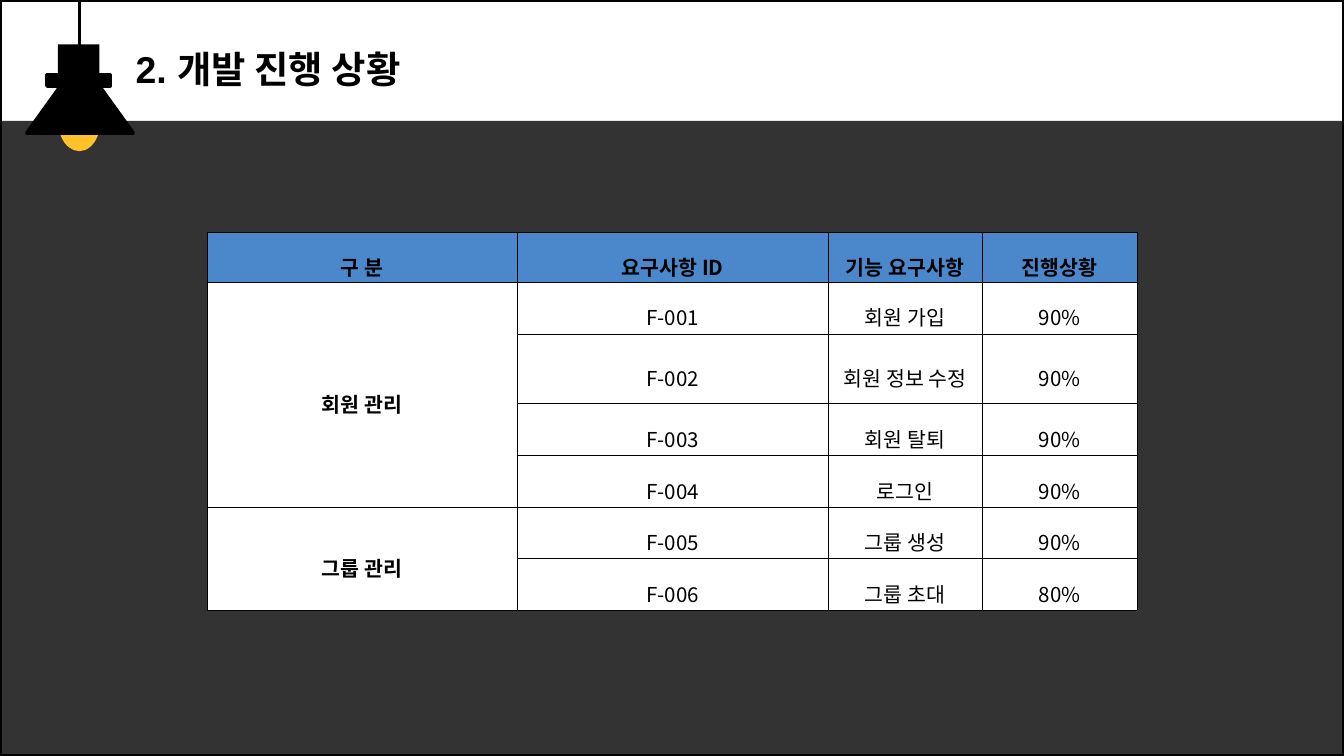
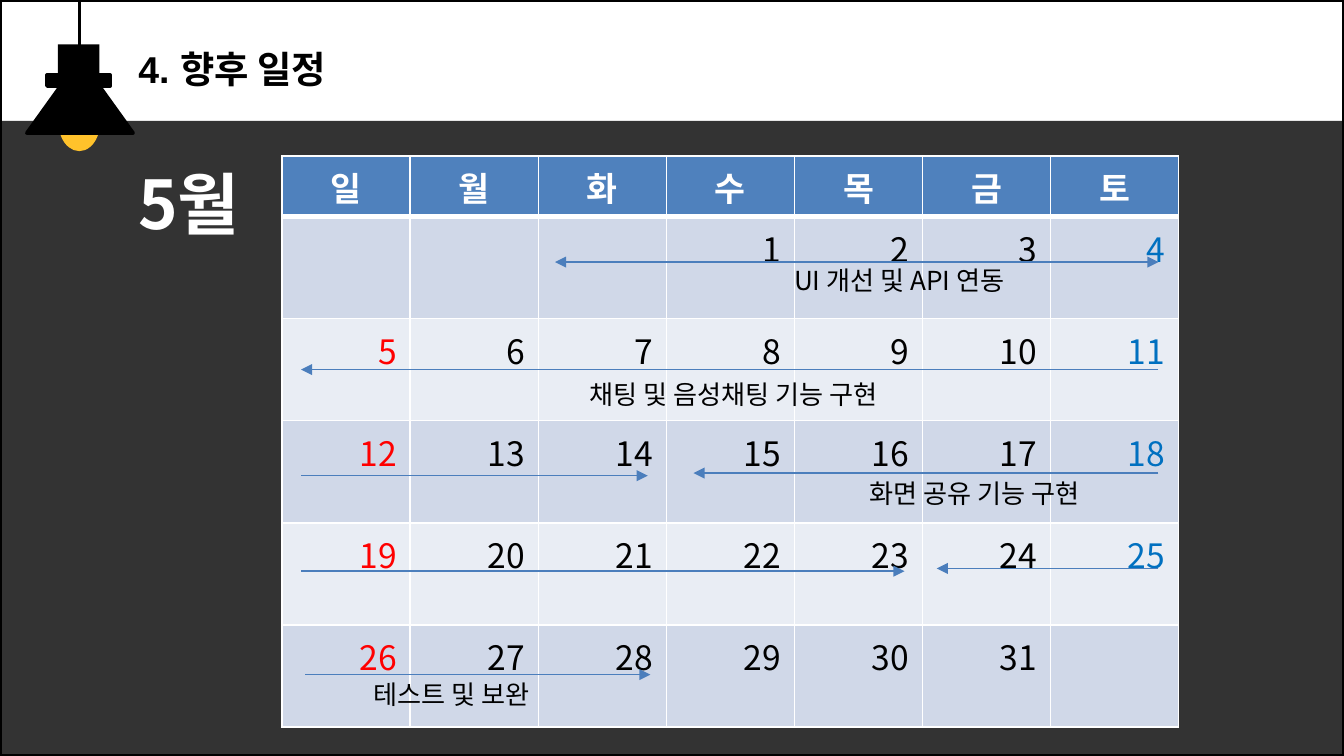
from lxml import etree
from pptx import Presentation
from pptx.dml.color import RGBColor
from pptx.enum.shapes import MSO_CONNECTOR, MSO_SHAPE as SHAPE
from pptx.enum.text import MSO_ANCHOR as ANCHOR, MSO_AUTO_SIZE as AUTO, PP_ALIGN as ALIGN
from pptx.oxml.ns import qn
from pptx.util import Inches, Pt

BLACK = RGBColor(0x00, 0x00, 0x00)
WHITE = RGBColor(0xFF, 0xFF, 0xFF)
BULB = RGBColor(0xFF, 0xC2, 0x2B)
STATUS_HEAD = RGBColor(0x4B, 0x87, 0xCB)
MONTH_HEAD = RGBColor(0x4F, 0x81, 0xBD)
WEEK_ODD = RGBColor(0xD0, 0xD8, 0xE8)
WEEK_EVEN = RGBColor(0xE9, 0xED, 0xF4)
SUNDAY = RGBColor(0xFF, 0x00, 0x00)
SATURDAY = RGBColor(0x00, 0x70, 0xC0)
ARROW = RGBColor(0x4B, 0x7E, 0xBC)
KOREAN = "Noto Sans CJK KR"
W = 10
H = W * 9 / 16


def write(tf, text, size=14, color=BLACK, bold=False, font=KOREAN,
          align=ALIGN.LEFT, spacing=None):
    p = tf.paragraphs[0]
    p.alignment = align
    p.line_spacing = spacing
    r = p.add_run()
    r.text = text
    r.font.size = Pt(size)
    r.font.bold = bold
    r.font.name = font
    r.font.color.rgb = color
    etree.SubElement(r.font._element, qn("a:ea"), typeface=KOREAN)


def add_line(shapes, x1, y1, x2, y2, color, width, ends=()):
    """Draw a straight line; ends may hold "headEnd" and "tailEnd", in that order."""
    line = shapes.add_connector(MSO_CONNECTOR.STRAIGHT, Inches(x1), Inches(y1),
                                Inches(x2), Inches(y2))
    line.line.color.rgb = color
    line.line.width = Pt(width)
    ln = line.line._get_or_add_ln()
    for end in ends:
        etree.SubElement(ln, qn(f"a:{end}"), type="triangle")
    etree.SubElement(line._element.spPr, qn("a:effectLst"))


prs = Presentation()
prs.slide_width, prs.slide_height = Inches(W), Inches(H)
layout = prs.slide_layouts[5]

# Titles and frames
slides = []
for title, x, w in (("2. 개발 진행 상황", 0.91, 2.42), ("4. 향후 일정", 0.93, 1.76)):
    s = prs.slides.add_slide(layout)
    slides.append(s)
    sp = s.shapes.title
    sp.left, sp.top, sp.width, sp.height = map(Inches, (x, 0.29, w, 0.44))
    tf = sp.text_frame
    tf.word_wrap = False
    tf.auto_size = AUTO.SHAPE_TO_FIT_TEXT
    tf.vertical_anchor = ANCHOR.TOP
    write(tf, title, size=20, bold=True, font="Arial")

    frame = s.shapes.add_shape(SHAPE.RECTANGLE, 0, 0, Inches(W), Inches(H))
    frame.shadow.inherit = False
    frame.fill.background()
    frame.line.color.rgb = BLACK
    frame.line.width = Pt(2)
status_slide, month_slide = slides

# Dark band and lamp, built once and moved to the shared layout
band = status_slide.shapes.add_shape(SHAPE.RECTANGLE, 0, Inches(0.9),
                                     Inches(W), Inches(H - 0.9))
band.shadow.inherit = False
band.fill.solid()
band.fill.fore_color.rgb = BLACK
band.line.fill.background()
etree.SubElement(band._element.spPr.find(".//" + qn("a:srgbClr")), qn("a:alpha"), val="80000")

lamp = status_slide.shapes.add_group_shape()
add_line(lamp.shapes, 0.59, 0.01, 0.59, 0.4, BLACK, 1.5)
for shape, x, y, w, h, color, outline in (
    (SHAPE.OVAL, 0.45, 0.72, 0.28, 0.39, BULB, True),
    (SHAPE.RECTANGLE, 0.43, 0.33, 0.31, 0.31, BLACK, False),
    (SHAPE.RECTANGLE, 0.35, 0.56, 0.47, 0.08, BLACK, True),
    (SHAPE.ISOSCELES_TRIANGLE, 0.2, 0.44, 0.79, 0.55, BLACK, True),
):
    sp = lamp.shapes.add_shape(shape, Inches(x), Inches(y), Inches(w), Inches(h))
    sp.shadow.inherit = False
    sp.fill.solid()
    sp.fill.fore_color.rgb = color
    if outline:
        sp.line.color.rgb = color
        sp.line.width = Pt(2)
    else:
        sp.line.fill.background()
for sp in (band, lamp):
    layout.shapes._spTree.append(sp._element)

# Progress table
status_rows = [
    ("구 분", "요구사항 ID", "기능 요구사항", "진행상황"),
    ("회원 관리", "F-001", "회원 가입", "90%"),
    ("", "F-002", "회원 정보 수정", "90%"),
    ("", "F-003", "회원 탈퇴", "90%"),
    ("", "F-004", "로그인", "90%"),
    ("그룹 관리", "F-005", "그룹 생성", "90%"),
    ("", "F-006", "그룹 초대", "80%"),
]
status = status_slide.shapes.add_table(7, 4, Inches(1.54), Inches(1.73),
                                       Inches(6.92), Inches(2.81)).table
for col, w in zip(status.columns, (2.31, 2.31, 1.15, 1.15)):
    col.width = Inches(w)
head_h, tall_h = 0.37, 0.52
row_h = (2.81 - head_h - tall_h) / 5
for row, h in zip(status.rows, [head_h, row_h, tall_h] + [row_h] * 4):
    row.height = Inches(h)
for i, texts in enumerate(status_rows):
    for j, text in enumerate(texts):
        cell = status.cell(i, j)
        cell.fill.solid()
        cell.fill.fore_color.rgb = WHITE if i else STATUS_HEAD
        cell.vertical_anchor = ANCHOR.MIDDLE
        cell.margin_left = cell.margin_right = Inches(0.02)
        cell.margin_top = cell.margin_bottom = Inches(0.01)
        if text:
            write(cell.text_frame, text, size=11, bold=i == 0 or j == 0,
                  align=ALIGN.CENTER, spacing=1.6)
for first, last in ((1, 4), (5, 6)):
    status.cell(first, 0).merge(status.cell(last, 0))

# Calendar: the first of the month is a Wednesday
month = month_slide.shapes.add_table(6, 7, Inches(2.1), Inches(1.16),
                                     Inches(6.67), Inches(4.25)).table
for i, row in enumerate(month.rows):
    row.height = Inches(0.76 if i else 0.45)
    for j, cell in enumerate(row.cells):
        cell.fill.solid()
        if i == 0:
            cell.fill.fore_color.rgb = MONTH_HEAD
            write(cell.text_frame, "일월화수목금토"[j], size=18, color=WHITE,
                  bold=True, align=ALIGN.CENTER)
            continue
        cell.fill.fore_color.rgb = WEEK_ODD if i % 2 else WEEK_EVEN
        day = 7 * (i - 1) + j - 2
        if 1 <= day <= 31:
            write(cell.text_frame, str(day), size=18, align=ALIGN.RIGHT,
                  color={0: SUNDAY, 6: SATURDAY}.get(j, BLACK))

# Cell borders, with the line under the header set apart
for table, color, width, head_width in ((status, BLACK, 0.28, 0.28), (month, WHITE, 1, 3)):
    table.first_row = table.horz_banding = False
    for i, row in enumerate(table.rows):
        for cell in row.cells:
            tcPr = cell._tc.get_or_add_tcPr()
            for k, side in enumerate("LRTB"):
                pt = head_width if (i, side) in ((0, "B"), (1, "T")) else width
                ln = etree.Element(qn(f"a:ln{side}"), w=str(int(Pt(pt))))
                fill = etree.SubElement(ln, qn("a:solidFill"))
                etree.SubElement(fill, qn("a:srgbClr"), val=str(color))
                tcPr.insert(k, ln)

# Schedule arrows and labels
test_phase = month_slide.shapes.add_group_shape()
for shapes, x1, x2, y, ends in (
    (month_slide.shapes, 4.13, 8.62, 1.95, ("headEnd", "tailEnd")),
    (month_slide.shapes, 8.62, 2.24, 2.75, ("tailEnd",)),
    (month_slide.shapes, 2.24, 4.82, 3.54, ("tailEnd",)),
    (month_slide.shapes, 8.62, 5.16, 3.52, ("tailEnd",)),
    (month_slide.shapes, 2.24, 6.73, 4.25, ("tailEnd",)),
    (month_slide.shapes, 8.62, 6.97, 4.23, ("tailEnd",)),
    (test_phase.shapes, 2.27, 4.84, 5.02, ("tailEnd",)),
):
    add_line(shapes, x1, y, x2, y, ARROW, 0.75, ends)

label = {"size": 14}
for shapes, text, x, y, w, h, style in (
    (month_slide.shapes, "5월", 0.93, 1.16, 1.34, 0.71,
     {"size": 36, "color": WHITE, "bold": True}),
    (month_slide.shapes, "UI 개선 및 API 연동", 5.81, 1.92, 2.16, 0.34, label),
    (month_slide.shapes, "채팅 및 음성채팅 기능 구현", 4.29, 2.77, 2.93, 0.34, label),
    (month_slide.shapes, "화면 공유 기능 구현", 6.37, 3.5, 2.16, 0.34, label),
    (test_phase.shapes, "테스트 및 보완", 2.68, 5, 1.69, 0.34, label),
):
    tf = shapes.add_textbox(Inches(x), Inches(y), Inches(w), Inches(h)).text_frame
    tf.word_wrap = True
    tf.auto_size = AUTO.SHAPE_TO_FIT_TEXT
    write(tf, text, **style)

prs.save("out.pptx")
